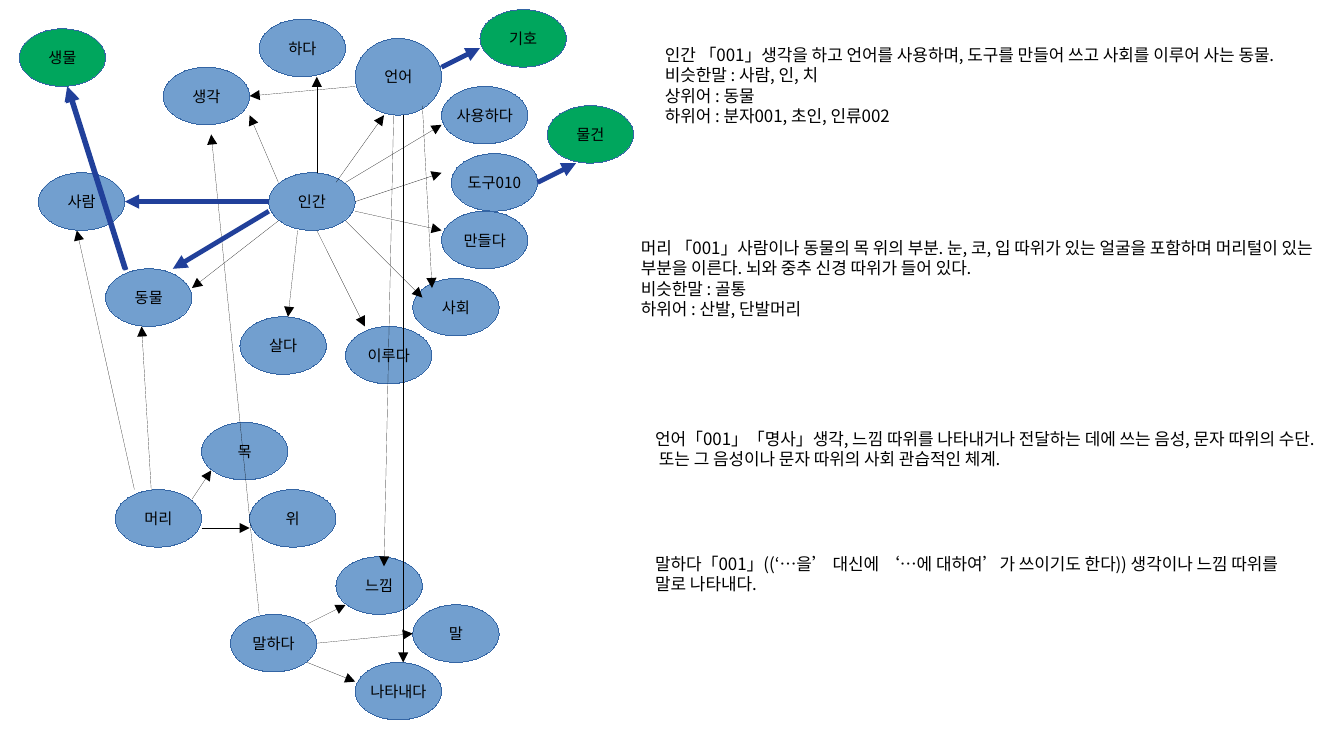
"""Build a slide with a Korean word network and its dictionary definitions."""
from dataclasses import dataclass

import pptx
import pptx.dml.color
import pptx.enum.shapes
import pptx.enum.text
import pptx.oxml
import pptx.oxml.ns
import pptx.util

CELL = pptx.util.Mm(2)
COLUMNS, ROWS = 140, 78.75
WORD_SIZE = (9, 6)


@dataclass(frozen=True)
class Theme:
    """Colours, type sizes, fonts and line widths of the slide."""
    word_fill: str = "729FCF"
    category_fill: str = "00A65D"
    outline: str = "3465A4"
    text: str = "000000"
    relation: str = "000000"
    hypernym: str = "21409A"
    hypernym_width: float = 2.83
    word_font: str = "Noto Sans CJK KR"
    word_points: int = 9
    definition_font: str = "Noto Sans CJK JP"
    definition_points: int = 10


THEME = Theme()

# Word: column, row
WORDS = {
    "인간": (28, 18), "목": (21, 44), "살다": (25, 33), "도구010": (47, 16),
    "생각": (17, 7), "사회": (43, 29), "이루다": (36, 34), "동물": (11, 28),
    "하다": (27, 2), "사용하다": (46, 9), "만들다": (46, 22), "사람": (4, 18),
    "머리": (12, 51), "위": (26, 51), "말하다": (24, 64), "느낌": (35, 58),
    "말": (43, 63), "나타내다": (37, 69), "언어": (37, 4),
}
TALL_WORDS = {"언어": (9, 8)}
CATEGORIES = {"생물": (2, 3), "기호": (50, 1), "물건": (57, 11)}

# Start column, start row, end column, end row; grouped by the word they leave
RELATIONS = {
    "인간": [(29, 19, 26, 12), (35, 19, 40, 12), (37, 21, 46, 18),
           (37, 22, 46, 24), (36, 23, 44, 31), (33, 24, 38, 34),
           (29, 23, 20, 30), (31, 24, 30, 33), (33, 18, 33, 8),
           (36, 19, 46, 13)],
    "머리": [(14, 51, 8, 24), (20, 52, 22, 49), (15.75, 51, 14.75, 34),
           (21, 55, 26, 55)],
    "말하다": [(32, 65, 36, 63), (33, 67, 43, 66), (32, 69, 37, 71),
            (27, 64, 22, 14)],
    "언어": [(37, 9, 26, 10), (41, 12, 40, 59), (44, 11, 45, 30),
           (42, 12, 42, 69)],
}
HYPERNYMS = {
    "인간": [(28, 21, 13, 21), (28, 22, 18, 28)],
    "동물": [(13, 28, 7, 9), (13.12, 28.12, 7.12, 9.12)],
    "언어": [(46, 7, 50, 5)],
    "도구010": [(56, 19, 60, 17)],
}

# Box within the definition column (column, row, width, height) and paragraphs
DEFINITIONS = [
    ((2.5, 0, 72, 18), [
        "인간 「001」생각을 하고 언어를 사용하며, 도구를 만들어 쓰고 사회를 이루어 사는 동물.",
        "비슷한말 : 사람, 인, 치",
        "상위어 : 동물",
        "하위어 : 분자001, 초인, 인류002"]),
    ((0, 20.12, 72.5, 15.9), [
        "머리 「001」사람이나 동물의 목 위의 부분. 눈, 코, 입 따위가 있는 얼굴을 포함하며 "
        "머리털이 있는 부분을 이른다. 뇌와 중추 신경 따위가 들어 있다.",
        "비슷한말 : 골통",
        "하위어 : 산발, 단발머리"]),
    ((1.5, 40, 71, 10.7), [
        "언어「001」「명사」생각, 느낌 따위를 나타내거나 전달하는 데에 쓰는 음성, "
        "문자 따위의 수단. 또는 그 음성이나 문자 따위의 사회 관습적인 체계."]),
    ((1.5, 53, 70.75, 11.2), [
        "말하다「001」((‘…을’ 대신에 ‘…에 대하여’가 쓰이기도 한다)) "
        "생각이나 느낌 따위를 말로 나타내다."]),
]


def grid(*values):
    """Turn columns or rows into slide lengths."""
    return [round(value * CELL) for value in values]


def colour(code):
    """Return the colour for a hex code."""
    return pptx.dml.color.RGBColor.from_string(code)


def drop_style(shape):
    """Remove the theme style, so that only explicit formatting counts."""
    shape.element.remove(shape.element.find(pptx.oxml.ns.qn("p:style")))


def write(shape, paragraphs, font, points, alignment=None):
    """Fill a shape with paragraphs set in one font for all scripts."""
    frame = shape.text_frame
    frame.text = "\n".join(paragraphs)
    for paragraph in frame.paragraphs:
        paragraph.alignment = alignment
        paragraph.font.size = pptx.util.Pt(points)
        paragraph.font.color.rgb = colour(THEME.text)
        paragraph.font.name = font
    for latin in list(shape.element.iter(pptx.oxml.ns.qn("a:latin"))):
        east_asian = pptx.oxml.parse_xml(
            f'<a:ea {pptx.oxml.ns.nsdecls("a")} typeface="{font}"/>')
        latin.addnext(east_asian)


def add_word(slide, word, box, fill):
    """Draw one word as an ellipse filling the box."""
    ellipse = slide.shapes.add_shape(
        pptx.enum.shapes.MSO_SHAPE.OVAL, *grid(*box))
    drop_style(ellipse)
    ellipse.shadow.inherit = False
    ellipse.fill.solid()
    ellipse.fill.fore_color.rgb = colour(fill)
    ellipse.line.color.rgb = colour(THEME.outline)
    ellipse.text_frame.word_wrap = False
    ellipse.text_frame.vertical_anchor = pptx.enum.text.MSO_ANCHOR.MIDDLE
    write(ellipse, [word], THEME.word_font, THEME.word_points,
          pptx.enum.text.PP_ALIGN.CENTER)


def add_arrow(slide, ends, line_colour, width=None):
    """Draw an arrow between two grid points; no width gives a hairline."""
    arrow = slide.shapes.add_connector(
        pptx.enum.shapes.MSO_CONNECTOR.STRAIGHT, *grid(*ends))
    drop_style(arrow)
    arrow.line.color.rgb = colour(line_colour)
    if width:
        arrow.line.width = pptx.util.Pt(width)
    arrow.line.fill._xPr.append(pptx.oxml.parse_xml(
        f'<a:tailEnd {pptx.oxml.ns.nsdecls("a")} type="triangle"/>'))


def add_network(slide, left, top):
    """Draw the word network from the given grid corner."""
    for words, fill in ((WORDS, THEME.word_fill),
                        (CATEGORIES, THEME.category_fill)):
        for word, (column, row) in words.items():
            size = TALL_WORDS.get(word, WORD_SIZE)
            add_word(slide, word, (left + column, top + row, *size), fill)
    for arrows, line_colour, width in (
            (RELATIONS, THEME.relation, None),
            (HYPERNYMS, THEME.hypernym, THEME.hypernym_width)):
        for word_arrows in arrows.values():
            for x1, y1, x2, y2 in word_arrows:
                ends = (left + x1, top + y1, left + x2, top + y2)
                add_arrow(slide, ends, line_colour, width)


def add_definitions(slide, left, top):
    """Place the dictionary entries from the given grid corner."""
    for (column, row, width, height), paragraphs in DEFINITIONS:
        entry = slide.shapes.add_textbox(
            *grid(left + column, top + row, width, height))
        entry.text_frame.word_wrap = True
        write(entry, paragraphs, THEME.definition_font,
              THEME.definition_points)


def main():
    """Build and save the presentation."""
    presentation = pptx.Presentation()
    presentation.slide_width, presentation.slide_height = grid(COLUMNS, ROWS)
    slide = presentation.slides.add_slide(presentation.slide_layouts[6])
    add_network(slide, 0, 0)
    add_definitions(slide, 65.5, 4)
    presentation.save("out.pptx")


main()
